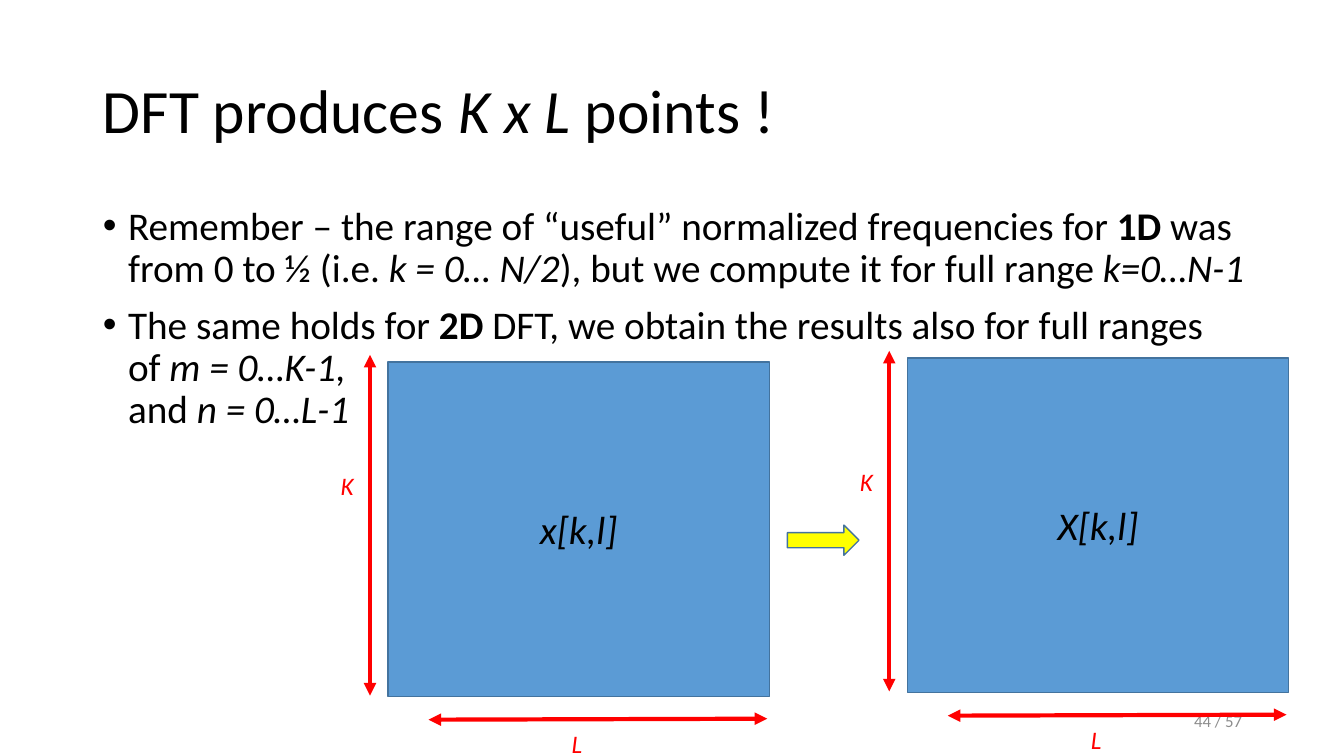
from lxml import etree
from pptx import Presentation
from pptx.dml.color import RGBColor
from pptx.enum.shapes import MSO_CONNECTOR, MSO_SHAPE
from pptx.enum.text import MSO_ANCHOR, MSO_AUTO_SIZE, PP_ALIGN
from pptx.oxml.ns import qn
from pptx.util import Inches, Pt

BLACK = RGBColor(0x00, 0x00, 0x00)
RED = RGBColor(0xFF, 0x00, 0x00)
BLUE = RGBColor(0x5B, 0x9B, 0xD5)
DARK_BLUE = RGBColor(0x43, 0x73, 0x9E)
YELLOW = RGBColor(0xFF, 0xFF, 0x00)
GRAY = RGBColor(0x8C, 0x8C, 0x8C)
LEFT, CENTER, RIGHT = PP_ALIGN.LEFT, PP_ALIGN.CENTER, PP_ALIGN.RIGHT
TOP, MIDDLE = MSO_ANCHOR.TOP, MSO_ANCHOR.MIDDLE
RECTANGLE, RIGHT_ARROW = MSO_SHAPE.RECTANGLE, MSO_SHAPE.RIGHT_ARROW
STRAIGHT = MSO_CONNECTOR.STRAIGHT
NO_AUTOFIT = MSO_AUTO_SIZE.NONE


def write(paragraph, runs, size, color, align=LEFT):
    """Add (text, style) runs, where style is "", "bold" or "italic"."""
    paragraph.alignment = align
    for text, style in runs:
        for index, line in enumerate(text.split("\n")):
            if index:
                paragraph.add_line_break()
            if line:
                run = paragraph.add_run()
                run.text = line
                font_format = {"name": "Calibri", "size": Pt(size),
                               "bold": style == "bold", "italic": style == "italic"}
                for key, value in font_format.items():
                    setattr(run.font, key, value)
                run.font.color.rgb = color


def place_frame(holder, box, anchor, wrap=True):
    """Move a text holder and return its text frame."""
    for key, value in zip(("left", "top", "width", "height"), box):
        setattr(holder, key, Inches(value))
    frame = holder.text_frame
    frame_format = {"word_wrap": wrap, "auto_size": NO_AUTOFIT, "vertical_anchor": anchor}
    for key, value in frame_format.items():
        setattr(frame, key, value)
    return frame


deck = Presentation()
deck.slide_width, deck.slide_height = Inches(13.33), Inches(7.5)
slide = deck.slides.add_slide(deck.slide_layouts[1])
shapes = slide.shapes

# Title
heading = place_frame(shapes.title, (0.92, 0.4, 11.5, 1.45), MIDDLE).paragraphs[0]
heading.line_spacing = 0.9
write(heading, [("DFT produces ", ""), ("K x L ", "italic"), ("points !", "")], 44, BLACK)

# Bullets
points = [
    [("Remember – the range of “useful” normalized frequencies for ", ""), ("1D", "bold"),
     (" was from 0 to ½ (i.e. ", ""), ("k = 0… N/2", "italic"),
     ("), but we compute it for full range ", ""), ("k=0…N-1", "italic")],
    [("The same holds for ", ""), ("2D", "bold"),
     (" DFT, we obtain the results also for full ranges \nof ", ""),
     ("m = 0…K-1, \n", "italic"), ("and ", ""), ("n = 0…L-1", "italic")],
]
body = place_frame(slide.placeholders[1], (0.92, 2, 11.89, 4.76), TOP)
for index, point in enumerate(points):
    bullet = body.add_paragraph() if index else body.paragraphs[0]
    bullet.line_spacing = 0.9
    bullet.space_before = Pt(10 if index else 0)
    properties = bullet._p.get_or_add_pPr()
    properties.set("marL", str(Inches(0.25)))
    properties.set("indent", str(Inches(-0.25)))
    etree.SubElement(properties, qn("a:buFont"), typeface="Arial")
    etree.SubElement(properties, qn("a:buChar"), char="•")
    write(bullet, point, 28, BLACK)

# Page number
page_number = place_frame(shapes.add_textbox(0, 0, 0, 0), (9.42, 6.95, 3, 0.4), MIDDLE)
write(page_number.paragraphs[0], [("44 / 57", "")], 12, GRAY, RIGHT)

# Input and output matrices with their dimensions
for x, y, matrix_name in ((3.85, 3.59, "x[k,l]"), (9, 3.55, "X[k,l]")):
    spans = (
        (x - 0.18, y - 0.07, x - 0.18, y + 3.31),
        (x + 3.76, y + 3.54, x + 0.4, y + 3.55),
    )
    for span in spans:
        arrow = shapes.add_connector(STRAIGHT, *map(Inches, span))
        arrow.line.color.rgb = RED
        arrow.line.width = Pt(3)
        outline = arrow.line._get_or_add_ln()
        for end in ("a:headEnd", "a:tailEnd"):
            etree.SubElement(outline, qn(end), type="triangle")
        etree.SubElement(arrow._element.spPr, qn("a:effectLst"))

    for dimension, dx, dy in (("K", -0.57, 1.03), ("L", 1.72, 3.59)):
        label = place_frame(shapes.add_textbox(0, 0, 0, 0),
                            (x + dx, y + dy, 0.38, 0.4), TOP, wrap=False)
        write(label.paragraphs[0], [(dimension, "italic")], 18, RED)

    matrix = shapes.add_shape(RECTANGLE, *map(Inches, (x, y, 3.78, 3.32)))
    matrix.shadow.inherit = False
    matrix.fill.solid()
    matrix.fill.fore_color.rgb = BLUE
    matrix.line.color.rgb = DARK_BLUE
    matrix.line.width = Pt(1)
    matrix.text_frame.vertical_anchor = MIDDLE
    write(matrix.text_frame.paragraphs[0], [(matrix_name, "italic")], 28, BLACK, CENTER)

# Transform arrow
transform = shapes.add_shape(RIGHT_ARROW, *map(Inches, (7.81, 5.21, 0.71, 0.3)))
transform.shadow.inherit = False
transform.fill.solid()
transform.fill.fore_color.rgb = YELLOW
transform.line.color.rgb = DARK_BLUE
transform.line.width = Pt(1)

deck.save("out.pptx")
